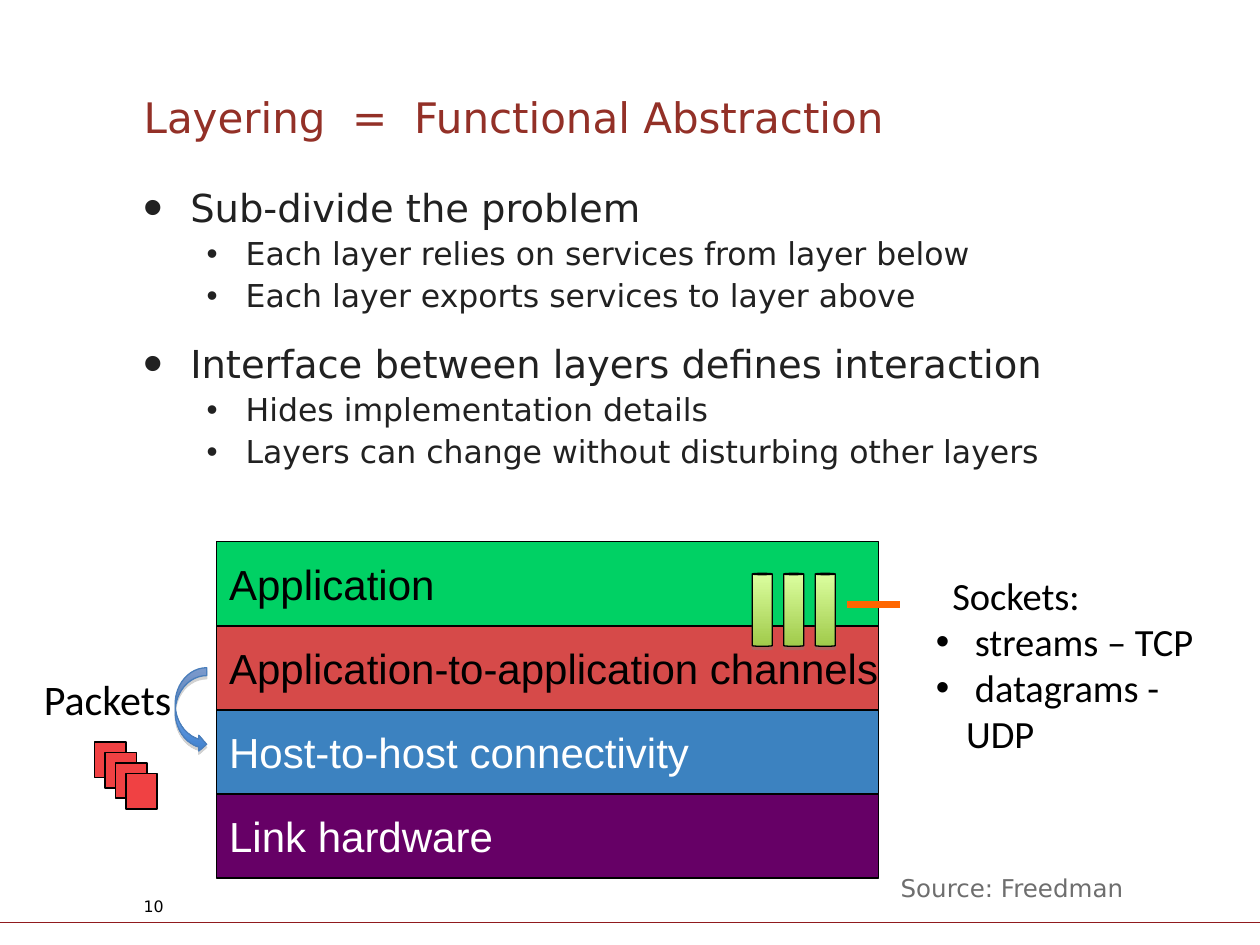
from dataclasses import dataclass

from lxml.etree import SubElement
from pptx import Presentation
from pptx.dml.color import RGBColor
from pptx.enum.shapes import MSO_CONNECTOR as Connector, MSO_SHAPE as Shape
from pptx.enum.text import MSO_ANCHOR as Anchor, PP_ALIGN as Align
from pptx.oxml.ns import qn
from pptx.util import Inches, Pt


@dataclass(frozen=True)
class Theme:
    """Colours, fonts and type sizes of the slide."""
    title: str = "933027"
    body: str = "212121"
    dark: str = "000000"
    light: str = "FFFFFF"
    muted: str = "6E6E6E"
    rule: str = "901A1E"
    packet: str = "F04143"
    accent: str = "FF6600"
    arrow_line: str = "4A7EBB"
    shadow: str = "808080"
    can: tuple = ("DCFFA0", "A0CA4A")
    arrow: tuple = ("9BC1FF", "3F80CD")
    main_font: str = "DejaVu Sans"
    layer_font: str = "Arial"
    label_font: str = "Calibri"
    heading: int = 24
    point: int = 22
    detail: int = 18
    credit: int = 14
    number: int = 9


THEME = Theme()


def rgb(value):
    """Turn a hex string into a colour."""
    return RGBColor.from_string(value)


def apply(target, values):
    """Set each named attribute on the target."""
    for name, value in values.items():
        setattr(target, name, value)


def set_frame(frame, margins=(0, 0), wrap=True, anchor=Anchor.TOP):
    """Set horizontal and vertical margins, wrapping and anchoring."""
    across, down = (Inches(margin) for margin in margins)
    apply(frame, {"margin_left": across, "margin_right": across,
                  "margin_top": down, "margin_bottom": down,
                  "word_wrap": wrap, "vertical_anchor": anchor})


def write(para, text, size, font, color, **spacing):
    """Write one styled line into a paragraph."""
    apply(para, {"alignment": Align.LEFT, **spacing})
    span = para.add_run()
    span.text = text
    apply(span.font, {"size": Pt(size), "name": font})
    span.font.color.rgb = rgb(color)


def indent(para, left, hanging=0, bullet_size=None):
    """Indent a paragraph, with a bullet when it hangs."""
    props = para._p.get_or_add_pPr()
    props.set("marL", str(Inches(left)))
    props.set("indent", str(-Inches(hanging)))
    if bullet_size:
        SubElement(props, qn("a:buSzPct"), val=str(bullet_size * 1000))
    if hanging:
        SubElement(props, qn("a:buFont"), typeface="Arial")
        SubElement(props, qn("a:buChar"), char="•")


def add_text(page, box, text, size, font, color, **frame_values):
    """Place a text box with one line."""
    frame = page.shapes.add_textbox(*map(Inches, box)).text_frame
    set_frame(frame, **frame_values)
    write(frame.paragraphs[0], text, size, font, color)
    return frame


def add_solid(page, kind, box, fill, line, width=0.75):
    """Place a shape with a plain fill, or a shaded one for a colour pair."""
    shape = page.shapes.add_shape(kind, *map(Inches, box))
    shape.shadow.inherit = False
    if isinstance(fill, tuple):
        shape.fill.gradient()
        shape.fill.gradient_angle = 270
        for stop, color in zip(shape.fill.gradient_stops, fill):
            stop.color.rgb = rgb(color)
    else:
        shape.fill.solid()
        shape.fill.fore_color.rgb = rgb(fill)
    shape.line.color.rgb = rgb(line)
    shape.line.width = Pt(width)
    return shape


def add_shadow(shape):
    """Drop a soft shadow just below a shape."""
    effects = shape._element.spPr.find(qn("a:effectLst"))
    outer = SubElement(effects, qn("a:outerShdw"), blurRad="0",
                       dist=str(Pt(1.8)), dir="5400000", rotWithShape="0")
    color = SubElement(outer, qn("a:srgbClr"), val=THEME.shadow)
    SubElement(color, qn("a:alpha"), val="35000")


def add_line(page, start, end, color, width):
    """Draw a straight line without a shadow."""
    line = page.shapes.add_connector(Connector.STRAIGHT, *map(Inches, start + end))
    line.line.color.rgb = rgb(color)
    line.line.width = Pt(width)
    SubElement(line._element.spPr, qn("a:effectLst"))


def add_points(page, box):
    """Write the two main points with their details."""
    points = (
        ("Sub-divide the problem",
         ("Each layer relies on services from layer below",
          "Each layer exports services to layer above")),
        ("Interface between layers defines interaction",
         ("Hides implementation details",
          "Layers can change without disturbing other layers")),
    )
    frame = page.shapes.add_textbox(*map(Inches, box)).text_frame
    set_frame(frame)
    style = {"font": THEME.main_font, "color": THEME.body, "line_spacing": 0.9}
    para = frame.paragraphs[0]
    for index, (point, details) in enumerate(points):
        if index:
            para.space_after = Pt(12)
            para = frame.add_paragraph()
        write(para, point, THEME.point, space_before=Pt(5.5), **style)
        indent(para, 0.37, 0.37, 145)
        for detail in details:
            para = frame.add_paragraph()
            write(para, detail, THEME.detail, space_before=Pt(4.5), level=1, **style)
            indent(para, 0.81, 0.31)


def add_layers(page, box):
    """Stack the four layers and the channels across the upper two."""
    left, top, width, height = box
    layers = (
        ("Application", "00D164", THEME.dark),
        ("Application-to-application channels", "D64A49", THEME.dark),
        ("Host-to-host connectivity", "3C82C0", THEME.light),
        ("Link hardware", "660066", THEME.light),
    )
    step = height / len(layers)
    for row, (name, fill, color) in enumerate(layers):
        layer = add_solid(page, Shape.RECTANGLE, (left, top + row * step, width, step),
                          fill, THEME.dark)
        set_frame(layer.text_frame, (0.1, 0.05), False, Anchor.MIDDLE)
        write(layer.text_frame.paragraphs[0], name, THEME.heading,
              THEME.layer_font, color)
    for column in range(3):
        can = add_solid(page, Shape.CAN, (left + 4.25 + column * 0.25, top + 0.25, 0.16, 0.58),
                        THEME.can, THEME.dark)
        can.adjustments[0] = 0.07
        add_shadow(can)


def add_sockets(page, box):
    """List the socket kinds and tie them to the channels."""
    left, top = box[:2]
    frame = add_text(page, box, "Sockets:", THEME.point, THEME.label_font,
                     THEME.dark, margins=(0.1, 0.05))
    indent(frame.paragraphs[0], 0.13)
    for text in (" streams – TCP", " datagrams - UDP"):
        para = frame.add_paragraph()
        write(para, text, THEME.point, THEME.label_font, THEME.dark)
        indent(para, 0.24, 0.24)
    add_line(page, (left - 0.61, top + 0.31), (left - 0.19, top + 0.31), THEME.accent, 4)


def add_packets(page, box):
    """Show the packets with their label and the arrow between layers."""
    left, top, width, height = box
    add_text(page, (left, top, 1.23, 0.5), "Packets", THEME.heading,
             THEME.label_font, THEME.dark, margins=(0.1, 0.05), wrap=False)
    for index in range(4):
        offset = index * 0.083
        add_solid(page, Shape.RECTANGLE, (left + 0.5 + offset, top + 0.59 + offset, 0.25, 0.28),
                  THEME.packet, THEME.dark, 1)
    arrow = add_solid(page, Shape.CURVED_RIGHT_ARROW, (left + width - 0.25, top, 0.25, 0.67),
                      THEME.arrow, THEME.arrow_line)
    add_shadow(arrow)


def add_footer(page, box):
    """Place the rule, the source and the page number."""
    left, top, width, height = box
    bottom = top + height
    add_line(page, (left, bottom), (left + width, bottom), THEME.rule, 0.75)
    add_text(page, (left + 7.05, top, 2.13, 0.34), "Source: Freedman", THEME.credit,
             THEME.main_font, THEME.muted, margins=(0.1, 0.05))
    add_text(page, (left + 1.14, top + 0.24, 2.33, 0.16), "10", THEME.number,
             THEME.main_font, THEME.dark)


def main():
    """Build the slide and save the deck."""
    deck = Presentation()
    deck.slide_width, deck.slide_height = Inches(10), Inches(7.5)
    page = deck.slides.add_slide(deck.slide_layouts[6])
    add_text(page, (1.14, 0.5, 7.72, 0.63), "Layering  =  Functional Abstraction",
             THEME.heading, THEME.main_font, THEME.title, anchor=Anchor.BOTTOM)
    add_points(page, (1.14, 1.5, 7.72, 4.49))
    add_layers(page, (1.72, 4.3, 5.25, 2.67))
    add_sockets(page, (7.33, 4.49, 2.46, 1.2))
    add_packets(page, (0.25, 5.3, 1.39, 1.12))
    add_footer(page, (0, 6.88, 10, 0.44))
    deck.save("out.pptx")


if __name__ == "__main__":
    main()
